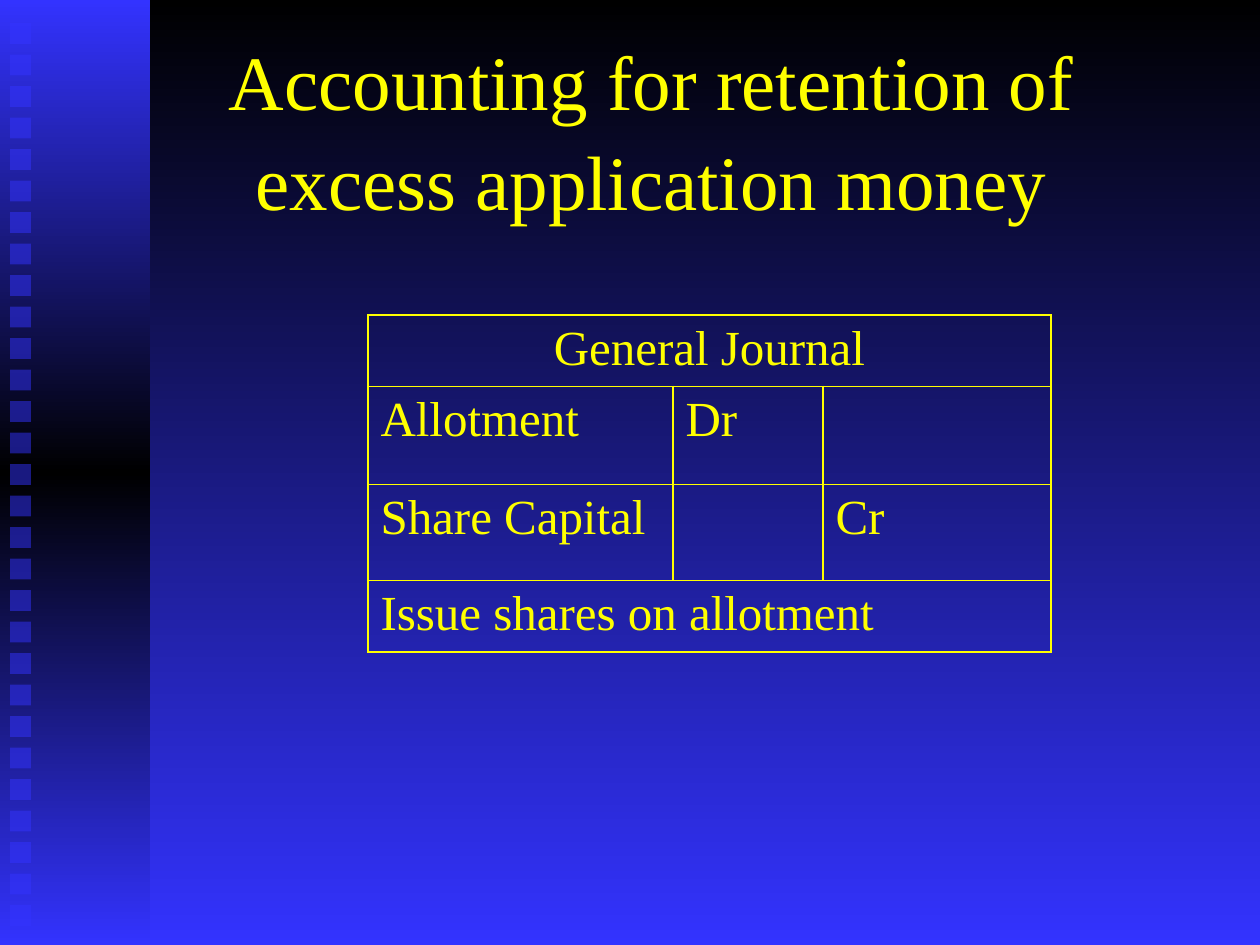
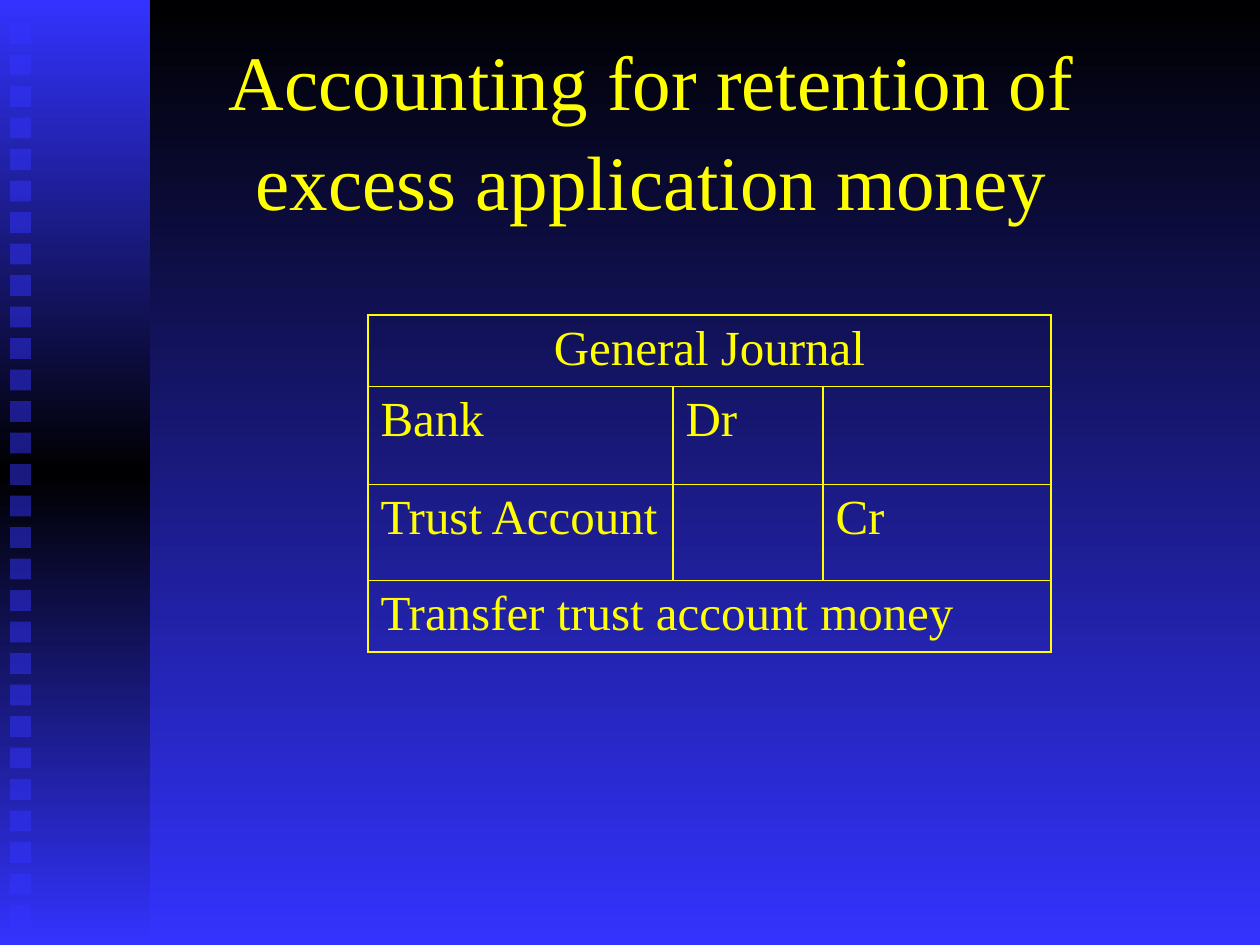
from lxml import etree
from pptx import Presentation
from pptx.dml.color import RGBColor
from pptx.enum import shapes, text
from pptx.oxml.ns import qn
from pptx.util import Pt

BLACK = RGBColor(0, 0, 0)
BLUE = RGBColor(0x33, 0x33, 0xFF)
YELLOW = RGBColor(0xFF, 0xFF, 0)
FONT = "Times New Roman"
TITLE = "Accounting for retention of excess application money"
COLS = (305, 150, 228)
ROWS = (67, 98, 96, 67)
ENTRIES = (
    ("Allotment", "Share Capital", "Issue shares on allotment"),
    ("Bank", "Trust Account", "Transfer trust account money"),
)


def px(count):
    return round(count * 914400 / 126)


def tint(parent, color):
    return etree.SubElement(parent, qn("a:srgbClr"), val=str(color))


def fade(fill, owner, colors):
    fill.gradient()
    fill.gradient_angle = 270
    stops = next(owner.element.iter(qn("a:gsLst")))
    for stop in list(stops):
        stops.remove(stop)
    for i, color in enumerate(colors):
        place = 100000 * i // (len(colors) - 1)
        tint(etree.SubElement(stops, qn("a:gs"), pos=str(place)), color)


def style(para, size, align):
    para.alignment = align
    for run in para.runs:
        run.font.name = FONT
        run.font.size = Pt(size)
        run.font.color.rgb = YELLOW


def block(slide, x, y, w, h):
    shape = slide.shapes.add_shape(
        shapes.MSO_SHAPE.RECTANGLE, px(x), px(y), px(w), px(h))
    shape.shadow.inherit = False
    shape.line.fill.background()
    return shape


def band(slide, x, y, w, h):
    side = block(slide, x, y, w, h)
    fade(side.fill, side, (BLUE, BLACK, BLUE))
    for i in range(29):
        square = block(slide, x + 10, y + 23 + i * 31.5, 21, 21)
        square.fill.solid()
        square.fill.fore_color.rgb = BLUE
        color = next(square.element.spPr.iter(qn("a:srgbClr")))
        etree.SubElement(color, qn("a:alpha"), val="50000")


def heading(slide, x, y, w, h):
    frame = slide.shapes.add_textbox(px(x), px(y), px(w), px(h)).text_frame
    frame.word_wrap = True
    frame.vertical_anchor = text.MSO_ANCHOR.MIDDLE
    frame.text = TITLE
    para = frame.paragraphs[0]
    para.line_spacing = 1.08
    style(para, 44, text.PP_ALIGN.CENTER)


def border(cell):
    props = cell._tc.get_or_add_tcPr()
    for i, edge in enumerate(("lnL", "lnR", "lnT", "lnB")):
        line = etree.Element(qn("a:" + edge), w=str(Pt(1)))
        tint(etree.SubElement(line, qn("a:solidFill")), YELLOW)
        props.insert(i, line)


def journal(slide, x, y, entry):
    debit, credit, note = entry
    lines = (("General Journal", "", ""), (debit, "Dr", ""),
             (credit, "", "Cr"), (note, "", ""))
    grid = slide.shapes.add_table(
        len(ROWS), len(COLS), px(x), px(y), px(sum(COLS)), px(sum(ROWS))).table
    grid.first_row = grid.horz_banding = False
    for col, width in zip(grid.columns, COLS):
        col.width = px(width)
    for row, height, words in zip(grid.rows, ROWS, lines):
        row.height = px(height)
        for cell, word in zip(row.cells, words):
            cell.fill.background()
            border(cell)
            cell.text = word
            style(cell.text_frame.paragraphs[0], 28, text.PP_ALIGN.LEFT)
    for r in (0, len(ROWS) - 1):
        grid.cell(r, 0).merge(grid.cell(r, len(COLS) - 1))
    grid.cell(0, 0).text_frame.paragraphs[0].alignment = text.PP_ALIGN.CENTER


def page(deck, entry):
    slide = deck.slides.add_slide(deck.slide_layouts[6])
    fade(slide.background.fill, slide, (BLACK, BLUE))
    band(slide, 0, 0, 150, 945)
    heading(slide, 116, 42, 1071, 168)
    journal(slide, 368, 315, entry)


def main():
    deck = Presentation()
    deck.slide_width, deck.slide_height = px(1260), px(945)
    for entry in ENTRIES:
        page(deck, entry)
    deck.save("out.pptx")


if __name__ == "__main__":
    main()
